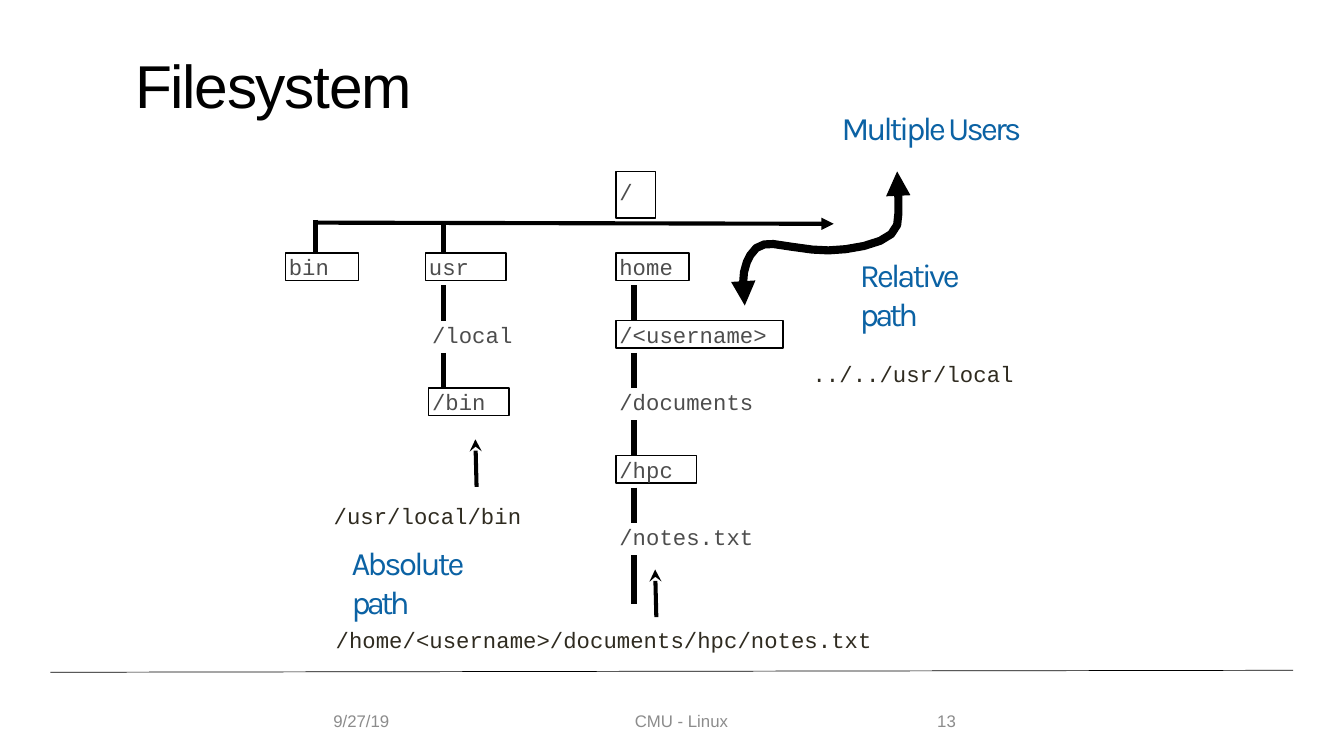
from lxml import etree
from pptx import Presentation
from pptx.dml.color import RGBColor
from pptx.enum.shapes import MSO_CONNECTOR, MSO_SHAPE
from pptx.enum.text import MSO_ANCHOR, PP_ALIGN
from pptx.oxml.ns import qn
from pptx.util import Cm, Pt

STRAIGHT = MSO_CONNECTOR.STRAIGHT
RECT = MSO_SHAPE.RECTANGLE
TOP, MIDDLE = MSO_ANCHOR.TOP, MSO_ANCHOR.MIDDLE
LEFT, CENTER = PP_ALIGN.LEFT, PP_ALIGN.CENTER

BLACK, GREY, DARK, BLUE, PALE = "000000", "4D4D4D", "2F2B20", "0B62A4", "8C8C8C"
ROW = 1.7       # distance between tree levels
NODE = 0.69     # height of a node
CELL = 0.81     # height of a node with the gap under it


def color(code):
    return RGBColor.from_string(code)


def add_para(frame, runs, size, face, code, left=0, right=0, before=0,
             align=LEFT, first=False):
    """Add a paragraph; runs are pairs of text and letter spacing in points."""
    para = frame.paragraphs[0] if first else frame.add_paragraph()
    props = para._p.get_or_add_pPr()
    props.set("marL", str(Cm(left)))
    props.set("marR", str(Cm(right)))
    props.set("indent", "0")
    para.alignment = align
    para.space_before = Pt(before)
    for text, gap in runs:
        run = para.add_run()
        run.text = text
        run.font.size = Pt(size)
        run.font.name = face
        run.font.color.rgb = color(code)
        if gap:
            run._r.get_or_add_rPr().set("spc", str(round(gap * 100)))


def set_frame(shape, left=0, top=0.03, side=0, anchor=TOP):
    frame = shape.text_frame
    frame.word_wrap = True
    frame.vertical_anchor = anchor
    frame.margin_left, frame.margin_right = Cm(left), Cm(side)
    frame.margin_top, frame.margin_bottom = Cm(top), Cm(0)
    return frame


def add_box(slide, box, **look):
    shape = slide.shapes.add_textbox(*map(Cm, box))
    return set_frame(shape, **look)


def add_tips(shape, head=None, tail=None):
    line = shape.line._get_or_add_ln()
    for tag, kind in (("a:headEnd", head), ("a:tailEnd", tail)):
        if kind:
            etree.SubElement(line, qn(tag), type=kind, w="med", len="med")


def add_line(slide, start, end, width, tip=None):
    line = slide.shapes.add_connector(STRAIGHT, *map(Cm, start + end))
    line.line.color.rgb = color(BLACK)
    line.line.width = Pt(width)
    add_tips(line, tail=tip)
    etree.SubElement(line._element.spPr, qn("a:effectLst"))


def add_node(slide, box, text, framed=True, top=0.01):
    if framed:
        shape = slide.shapes.add_shape(RECT, *map(Cm, box))
        shape.shadow.inherit = False
        shape.fill.background()
        shape.line.color.rgb = color(BLACK)
        shape.line.width = Pt(1.07)
        frame = set_frame(shape, left=0.09, top=top)
    else:
        frame = add_box(slide, box, left=0.09, top=top)
    add_para(frame, [(text, 0)], 15.9, "Courier New", GREY, first=True)


def add_branch(slide, left, top, stem, weight, nodes, last=0):
    """Stack nodes downwards and link them with stems; last is a closing stem."""
    for level, (text, width, shift, framed) in enumerate(nodes):
        y = top + level * ROW
        ends = level == len(nodes) - 1
        size = last if ends else ROW - CELL
        if size:
            add_line(slide, (stem, y + CELL), (stem, y + CELL + size), weight)
        add_node(slide, (left + shift, y, width, NODE), text, framed)


def add_tree(slide, left, top):
    root = left + 8.33
    add_node(slide, (root, top, 1.0, 1.17), "/", top=0.18)
    bar, names = top + 1.29, top + 2.06
    add_line(slide, (left + 0.76, bar), (left + 13.82, bar + 0.03), 2.95, "triangle")
    add_line(slide, (left + 0.76, bar - 0.07), (left + 0.76, names), 3.57)
    add_line(slide, (left + 3.99, bar), (left + 3.99, names), 3.75)
    add_branch(slide, left, names, left + 0.76, 3.75, [("bin", 1.85, 0, True)])
    add_branch(slide, left + 3.53, names, left + 3.99, 3.75, [
        ("usr", 2.03, 0, True),
        ("/local", 2.4, 0.08, False),
        ("/bin", 2.03, 0.08, True),
    ])
    add_branch(slide, root, names, root + 0.46, 4.7, [
        ("home", 1.85, 0, True),
        ("/<username>", 4.22, 0, True),
        ("/documents", 3.99, 0, False),
        ("/hpc", 2.03, 0, True),
        ("/notes.txt", 3.99, 0, False),
    ], last=1.22)


def add_curve(slide, left, top):
    bends = [
        (0.13, 3.38), (0.09, 2.79), (0.11, 2.54), (0.18, 2.29), (0.27, 2.11),
        (0.42, 1.93), (0.62, 1.84), (0.85, 1.83), (1.32, 1.9), (1.83, 1.97),
        (2.24, 1.99), (2.67, 1.96), (3.13, 1.88), (3.54, 1.75), (3.82, 1.58),
        (3.97, 1.35), (4.0, 1.07), (4.0, 0.66), (3.97, 0),
    ]
    spots = [(Cm(left + x), Cm(top + y)) for x, y in bends]
    pen = slide.shapes.build_freeform(*spots[0])
    pen.add_line_segments(spots[1:], close=False)
    curve = pen.convert_to_shape()
    curve.shadow.inherit = False
    curve.fill.background()
    curve.line.color.rgb = color(BLACK)
    curve.line.width = Pt(5.8)
    add_tips(curve, "triangle", "triangle")


def add_notes(slide):
    """Place the path examples, their headings and the arrows."""
    code = (15.9, "Courier New", DARK)
    head = (23.4, "Karla", BLUE)

    frame = add_box(slide, (8.38, 12.4, 4.83, 2.29), top=0.25)
    add_para(frame, [("/usr/local/bin", 0)], *code, left=0.03, first=True)
    add_para(frame, [("Absolute ", -1.9), ("path", -2.7)], *head,
             left=0.48, right=1.2, before=9.8)

    frame = add_box(slide, (8.43, 15.75, 13.9, 0.71))
    add_para(frame, [("/home/<username>/documents/hpc/notes.txt", 0)], *code,
             left=0.03, first=True)

    frame = add_box(slide, (20.45, 6.38, 5.26, 2.39))
    add_para(frame, [("Relative ", -2), ("path", -2.6)], *head,
             left=1.22, right=1.2, first=True)
    add_para(frame, [("../../usr/local", 0)], *code, left=0.03, before=19.2)

    frame = add_box(slide, (19.99, 2.69, 7.82, 1.04))
    add_para(frame, [("Multiple Users", -2)], *head, left=1.22, first=True)

    for x, y in ((11.98, 11.07), (16.51, 14.35)):
        add_line(slide, (x + 0.03, y + 1.2), (x, y), 2.9, "stealth")
    add_curve(slide, 18.64, 4.32)


def add_title(slide, box):
    frame = add_box(slide, box)
    add_para(frame, [("Filesystem", -1)], 43.2, "Arial", BLACK,
             left=0.03, first=True)


def add_footer(slide, top):
    add_line(slide, (1.27, top), (32.59, top - 0.05), 0.5)
    parts = (("9/27/19", 8.15, 2.26, LEFT),
             ("CMU - Linux", 11.46, 11.43, CENTER),
             ("13", 23.37, 2.44, LEFT))
    for text, left, width, align in parts:
        frame = add_box(slide, (left, top + 0.71, width, 1.02), left=0.25,
                        top=0, side=0.25, anchor=MIDDLE)
        add_para(frame, [(text, 0)], 12, "Arial", PALE, align=align, first=True)


def main():
    deck = Presentation()
    deck.slide_width, deck.slide_height = Cm(33.87), Cm(19.05)
    slide = deck.slides.add_slide(deck.slide_layouts[6])
    add_footer(slide, 16.94)
    add_title(slide, (3.38, 1.19, 8, 1.88))
    add_tree(slide, 7.19, 4.32)
    add_notes(slide)
    deck.save("out.pptx")


if __name__ == "__main__":
    main()
